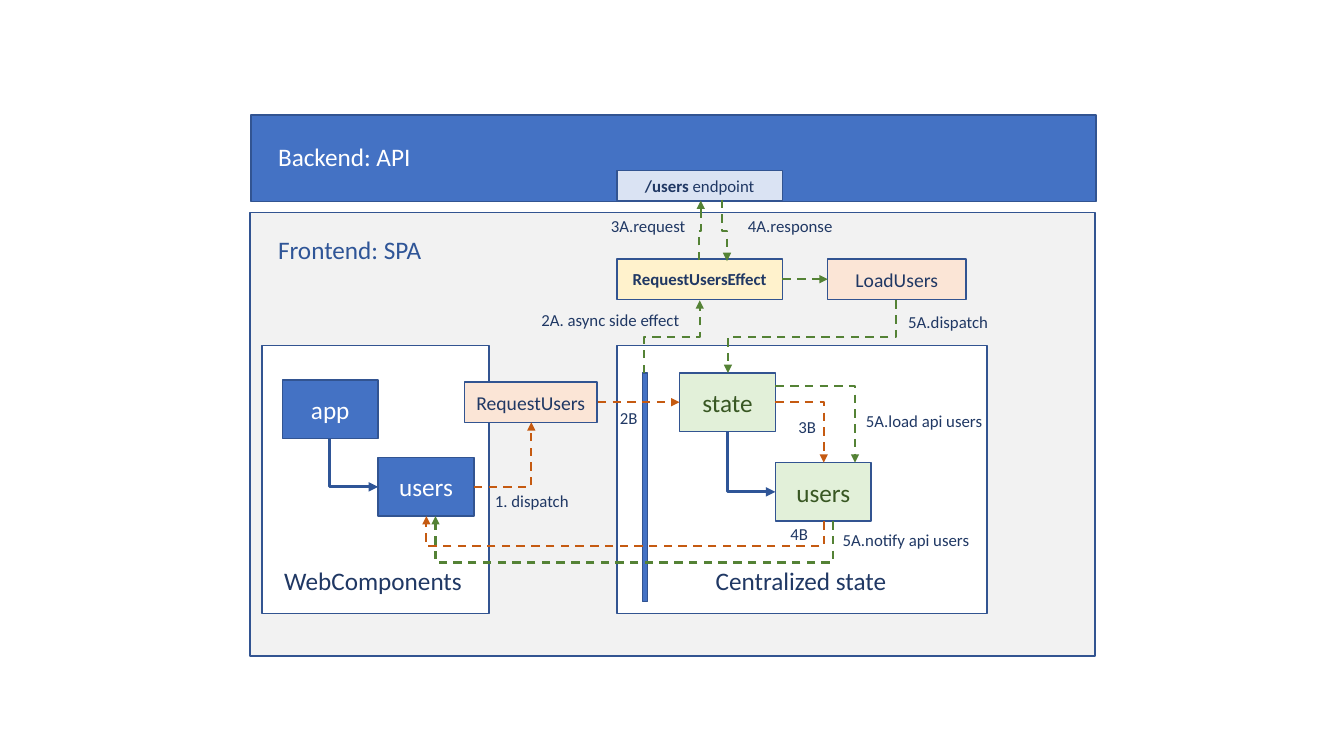
from typing import NamedTuple, Optional

import lxml.etree
import pptx
import pptx.dml.color
import pptx.enum.dml
import pptx.enum.shapes
import pptx.enum.text
import pptx.oxml.ns
import pptx.util

Inches = pptx.util.Inches
Pt = pptx.util.Pt
Kind = pptx.enum.shapes.MSO_CONNECTOR
Anchor = pptx.enum.text.MSO_ANCHOR
Align = pptx.enum.text.PP_ALIGN
Fit = pptx.enum.text.MSO_AUTO_SIZE
qn = pptx.oxml.ns.qn

HEX = {
    "white": "FFFFFF", "grey": "F2F2F2", "blue": "4472C4", "edge": "325491",
    "deep": "2F5597", "navy": "203864", "pale": "DAE3F3", "mint": "E2F0D9",
    "forest": "385723", "peach": "FBE5D6", "cream": "FFF2CC",
    "orange": "C55A11", "green": "548235",
}


class Box(NamedTuple):
    left: float
    top: float
    width: float
    height: float
    fill: str
    runs: tuple = ()
    size: int = 18
    ink: str = "navy"


class Link(NamedTuple):
    start: tuple
    end: tuple
    ink: str
    down: bool = False
    bend: Optional[float] = None
    dash: bool = True
    width: float = 1.5


class Label(NamedTuple):
    left: float
    top: float
    width: float
    text: str
    size: int = 12
    ink: str = "navy"


NODE = (0.95, 0.58)
ACTION = 0.4
BOXES = [
    Box(2.48, 2.11, 8.38, 4.4, "grey"),
    Box(2.6, 3.43, 2.25, 2.66, "white"),
    Box(6.12, 3.43, 3.67, 2.66, "white"),
    Box(2.8, 3.77, *NODE, "blue", (("app", False),), ink="white"),
    Box(3.75, 4.54, *NODE, "blue", (("users", False),), ink="white"),
    Box(6.74, 3.7, *NODE, "mint", (("state", False),), ink="forest"),
    Box(7.69, 4.59, *NODE, "mint", (("users", False),), ink="forest"),
    Box(6.37, 3.7, 0.05, 2.27, "blue"),
    Box(8.21, 2.57, 1.37, ACTION, "peach", (("LoadUsers", False),), 14),
    Box(4.61, 3.79, 1.31, ACTION, "peach", (("RequestUsers", False),), 14),
    Box(6.12, 2.57, 1.64, ACTION, "cream", (("RequestUsersEffect", True),), 12),
    Box(2.49, 1.14, 8.38, 0.86, "blue"),
    Box(6.12, 1.69, 1.64, 0.3, "pale", (("/users ", True), ("endpoint", False)), 12),
]
LINKS = [
    Link((3.27, 4.35), (3.75, 4.83), "deep", True, dash=False, width=2.25),
    Link((7.22, 4.28), (7.69, 4.88), "deep", True, dash=False, width=2.25),
    Link((4.7, 4.83), (5.27, 4.19), "orange"),
    Link((5.93, 3.99), (6.74, 3.99), "orange"),
    Link((7.69, 3.99), (8.17, 4.59), "orange"),
    Link((8.17, 5.17), (4.23, 5.12), "orange", True, 5.42),
    Link((6.39, 3.7), (6.94, 2.98), "green", True, 3.34),
    Link((6.93, 2.58), (6.95, 1.99), "green", True, 2.29),
    Link((7.16, 1.98), (7.21, 2.59), "green", True, 2.29),
    Link((7.76, 2.77), (8.21, 2.77), "green"),
    Link((8.89, 2.98), (7.22, 3.7), "green", True, 3.34),
    Link((7.69, 3.83), (8.48, 4.59), "green"),
    Link((8.26, 5.17), (4.32, 5.12), "green", True, 5.58),
]
LABELS = [
    Label(2.72, 5.56, 1.99, "WebComponents", 18),
    Label(7, 5.56, 1.91, "Centralized state", 18),
    Label(2.66, 1.35, 1.53, "Backend: API", 18, "white"),
    Label(2.66, 2.28, 1.64, "Frontend: SPA", 18, "deep"),
    Label(4.81, 4.82, 0.94, "1. dispatch"),
    Label(5.27, 3.02, 1.59, "2A. async side effect"),
    Label(5.96, 2.09, 0.95, "3A.request"),
    Label(7.32, 2.09, 1.05, "4A.response"),
    Label(8.91, 3.04, 1, "5A.dispatch"),
    Label(8.49, 4.03, 1.37, "5A.load api users"),
    Label(8.26, 5.21, 1.47, "5A.notify api users"),
    Label(6.05, 4, 0.38, "2B"),
    Label(7.82, 4.09, 0.38, "3B"),
    Label(7.74, 5.15, 0.38, "4B"),
]


def color(name: str) -> pptx.dml.color.RGBColor:
    return pptx.dml.color.RGBColor.from_string(HEX[name])


def apply(target, values: dict) -> None:
    for name, value in values.items():
        setattr(target, name, value)


def add_node(parent, tag: str, **values: str) -> None:
    lxml.etree.SubElement(parent, qn(tag), values)


def write(frame, runs: tuple, size: int, ink: str, align) -> None:
    para = frame.paragraphs[0]
    para.alignment = align
    for text, bold in runs:
        run = para.add_run()
        run.text = text
        apply(run.font, {"name": "Calibri", "size": Pt(size), "bold": bold})
        run.font.color.rgb = color(ink)


def draw_box(shapes, box: Box) -> None:
    shape = shapes.add_shape(
        pptx.enum.shapes.MSO_SHAPE.RECTANGLE, *map(Inches, box[:4]))
    shape.shadow.inherit = False
    shape.fill.solid()
    shape.fill.fore_color.rgb = color(box.fill)
    shape.line.color.rgb = color("edge")
    shape.line.width = Pt(1)
    apply(shape.text_frame, {"vertical_anchor": Anchor.MIDDLE, "word_wrap": True})
    write(shape.text_frame, box.runs, box.size, box.ink, Align.CENTER)


def draw_link(shapes, link: Link) -> None:
    (x1, y1), (x2, y2) = link.start, link.end
    dx, dy = x2 - x1, y2 - y1
    ends = (x1, y1, x2, y2)
    if link.down:
        flip = (dx > 0) == (dy > 0)
        midx, midy = (x1 + x2) / 2, (y1 + y2) / 2
        halfx = abs(dy) / 2 * (-1 if flip else 1)
        halfy = abs(dx) / 2
        ends = (midx - halfx, midy - halfy, midx + halfx, midy + halfy)
    kind = Kind.ELBOW if dx and dy else Kind.STRAIGHT
    line = shapes.add_connector(kind, *map(Inches, ends))
    props = line._element.spPr
    if link.down:
        props.find(qn("a:xfrm")).set("rot", "16200000" if dx > 0 else "5400000")
    geom = props.find(qn("a:prstGeom"))
    if link.bend is not None:
        share = (link.bend - y1) / dy if link.down else (link.bend - x1) / dx
        add_node(geom.find(qn("a:avLst")), "a:gd",
                 name="adj1", fmla=f"val {round(share * 100000)}")
    elif kind == Kind.ELBOW:
        geom.set("prst", "bentConnector2")
    line.line.color.rgb = color(link.ink)
    line.line.width = Pt(link.width)
    if link.dash:
        line.line.dash_style = pptx.enum.dml.MSO_LINE.DASH
    add_node(props.find(qn("a:ln")), "a:tailEnd", type="triangle")
    add_node(props, "a:effectLst")


def draw_label(shapes, label: Label) -> None:
    height = 0.4 if label.size == 18 else 0.3
    area = (label.left, label.top, label.width, height)
    frame = shapes.add_textbox(*map(Inches, area)).text_frame
    apply(frame, {"word_wrap": False, "auto_size": Fit.SHAPE_TO_FIT_TEXT})
    write(frame, ((label.text, False),), label.size, label.ink, Align.LEFT)


deck = pptx.Presentation()
apply(deck, {"slide_width": Inches(13.33), "slide_height": Inches(7.5)})
slide = deck.slides.add_slide(deck.slide_layouts[6])
for items, draw in ((BOXES, draw_box), (LINKS, draw_link), (LABELS, draw_label)):
    for item in items:
        draw(slide.shapes, item)
deck.save("out.pptx")
